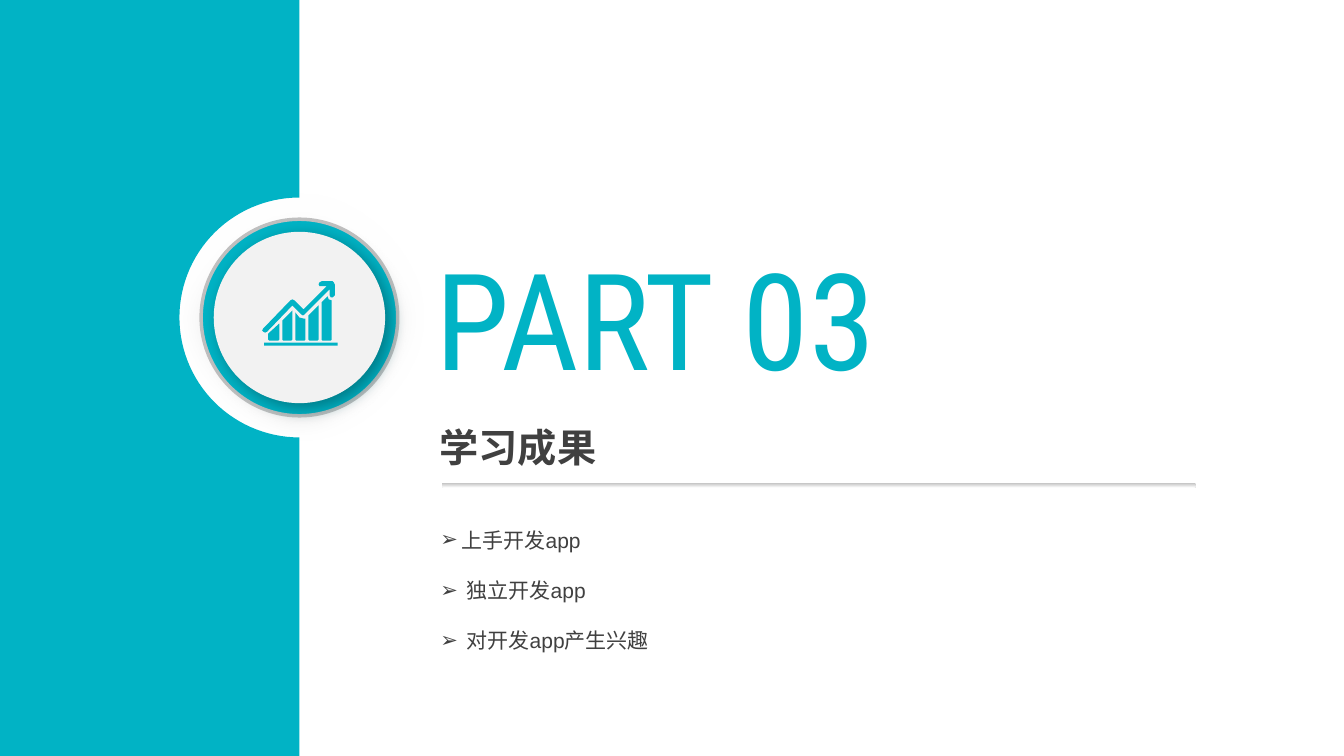
from dataclasses import dataclass
from math import cos, pi, sin

from lxml.etree import SubElement
from pptx import Presentation
from pptx.dml.color import RGBColor
from pptx.enum.shapes import MSO_SHAPE as Shape
from pptx.enum.text import MSO_ANCHOR, MSO_AUTO_SIZE, PP_ALIGN
from pptx.oxml.ns import qn
from pptx.util import Emu, Inches, Pt

PART = "PART 03"
HEADING = "学习成果"
# (text, hanging indent)
OUTCOMES = [("上手开发app", 0.21), ("独立开发app", 0.26), ("对开发app产生兴趣", 0.26)]

WIDTH, HEIGHT = 13.33, 7.5
BAND_RIGHT = 2.97
CENTER_Y = 3.15
NOTCH_RADIUS = 1.19
TEXT_LEFT, TEXT_RIGHT = 4.38, 11.86

# Growth icon: the top outline of each bar, left to right
BAR_BOTTOM = 3.38
BAR_TOPS = [
    [(2.66, 3.31), (2.77, 3.21)],
    [(2.80, 3.18), (2.90, 3.08)],
    [(2.93, 3.10), (2.97, 3.15), (3.01, 3.16), (3.03, 3.16)],
    [(3.06, 3.13), (3.16, 3.03)],
    [(3.19, 3.00), (3.25, 2.94), (3.26, 2.97), (3.29, 2.98)],
]
TREND_ARROW = [
    (2.65, 3.29), (2.90, 3.03), (2.99, 3.12), (3.005, 3.13), (3.02, 3.12),
    (3.27, 2.87), (3.27, 2.93), (3.28, 2.95), (3.30, 2.95), (3.32, 2.93),
    (3.32, 2.82), (3.31, 2.80), (3.30, 2.79), (3.19, 2.79), (3.17, 2.80),
    (3.16, 2.82), (3.17, 2.84), (3.19, 2.84), (3.24, 2.84), (3.01, 3.07),
    (2.92, 2.98), (2.90, 2.97), (2.88, 2.98), (2.61, 3.26), (2.60, 3.28),
    (2.61, 3.29), (2.63, 3.30),
]


@dataclass(frozen=True)
class Theme:
    teal: str = "01B3C5"
    deep_teal: str = "005962"
    dark: str = "404040"
    silver: str = "BFBFBF"
    pale: str = "F2F2F2"
    white: str = "FFFFFF"
    display_font: str = "Roboto Condensed"
    body_font: str = "Arial"
    part_size: int = 96
    heading_size: int = 28
    body_size: int = 15


THEME = Theme()


def paint(sp, fill, line=None):
    """Fill with one colour, or top to bottom with a pair of colours."""
    sp.shadow.inherit = False
    if isinstance(fill, tuple):
        sp.fill.gradient()
        sp.fill.gradient_angle = 270
        for stop, color in zip(sp.fill.gradient_stops, fill):
            stop.color.rgb = RGBColor.from_string(color)
    else:
        sp.fill.solid()
        sp.fill.fore_color.rgb = RGBColor.from_string(fill)
    if line:
        sp.line.color.rgb = RGBColor.from_string(line)
        sp.line.width = Pt(2.5)
    else:
        sp.line.fill.background()
    return sp


def add_preset(slide, kind, left, top, width, height, fill, line=None):
    sp = slide.shapes.add_shape(kind, Inches(left), Inches(top), Inches(width), Inches(height))
    return paint(sp, fill, line)


def add_disc(slide, size, fill, line=None):
    return add_preset(slide, Shape.OVAL, BAND_RIGHT - size / 2, CENTER_Y - size / 2,
                      size, size, fill, line)


def add_polygon(slide, points, fill):
    scaled = [(Inches(x), Inches(y)) for x, y in points]
    builder = slide.shapes.build_freeform(*scaled[0])
    builder.add_line_segments(scaled[1:], close=True)
    return paint(builder.convert_to_shape(), fill)


def add_effect(sp, tag, **attrs):
    effects = sp._element.spPr.find(qn("a:effectLst"))
    return SubElement(effects, qn(tag), {k: str(v) for k, v in attrs.items()})


def add_drop_shadow(sp, color, alpha, blur, distance, angle):
    shadow = add_effect(sp, "a:outerShdw", blurRad=Pt(blur), dist=Pt(distance),
                        dir=angle * 60000, algn="ctr", rotWithShape=0)
    rgb = SubElement(shadow, qn("a:srgbClr"), val=color)
    SubElement(rgb, qn("a:alpha"), val=str(alpha * 1000))


def add_bullet(p, hang):
    pPr = p._p.get_or_add_pPr()
    pPr.set("marL", str(Inches(hang)))
    pPr.set("indent", str(-Inches(hang)))
    SubElement(pPr, qn("a:buFont"), typeface=THEME.body_font)
    SubElement(pPr, qn("a:buChar"), char="➢")


def write(sp, box, lines, *, size, color, font=THEME.body_font, bold=False,
          inset=(0.1, 0.05), spacing=None, hangs=()):
    sp.left, sp.top, sp.width, sp.height = (Inches(v) for v in box)
    tf = sp.text_frame
    tf.word_wrap = True
    tf.auto_size = MSO_AUTO_SIZE.NONE
    tf.vertical_anchor = MSO_ANCHOR.TOP
    tf.margin_left = tf.margin_right = Inches(inset[0])
    tf.margin_top = tf.margin_bottom = Inches(inset[1])
    for i, line in enumerate(lines):
        p = tf.paragraphs[0] if i == 0 else tf.add_paragraph()
        p.alignment = PP_ALIGN.LEFT
        if spacing:
            p.line_spacing = spacing
        if hangs:
            add_bullet(p, hangs[i])
        r = p.add_run()
        r.text = line
        r.font.name, r.font.size, r.font.bold = font, Pt(size), bold
        r.font.color.rgb = RGBColor.from_string(color)


def draw_badge(slide):
    halo = add_disc(slide, 2.61, (THEME.white, THEME.silver))
    add_effect(halo, "a:softEdge", rad=Pt(25))
    add_disc(slide, 1.95, THEME.teal, THEME.silver)
    face = add_disc(slide, 1.7, THEME.pale)
    add_drop_shadow(face, THEME.deep_teal, alpha=64, blur=12, distance=5, angle=45)


def draw_band(slide):
    """Side band with a half-round notch for the badge."""
    steps = 60
    notch = [(BAND_RIGHT - NOTCH_RADIUS * sin(pi * i / steps),
              CENTER_Y - NOTCH_RADIUS * cos(pi * i / steps)) for i in range(steps + 1)]
    outline = [(0, 0), (BAND_RIGHT, 0), *notch, (BAND_RIGHT, HEIGHT), (0, HEIGHT)]
    add_polygon(slide, outline, THEME.teal)


def draw_icon(slide):
    add_preset(slide, Shape.RECTANGLE, 2.62, 3.4, 0.73, 0.03, THEME.teal)
    corner = 0.01
    for top in BAR_TOPS:
        left, right = top[0][0], top[-1][0]
        base = [(right, BAR_BOTTOM - corner), (right - corner, BAR_BOTTOM),
                (left + corner, BAR_BOTTOM), (left, BAR_BOTTOM - corner)]
        add_polygon(slide, top + base, THEME.teal)
    add_polygon(slide, TREND_ARROW, THEME.teal)


def draw_text(slide):
    write(slide.shapes.title, (4.22, 2.29, 5.25, 1.72), [PART],
          size=THEME.part_size, color=THEME.teal, font=THEME.display_font)
    rule = add_preset(slide, Shape.ROUNDED_RECTANGLE, TEXT_LEFT, 4.79,
                      TEXT_RIGHT - TEXT_LEFT, 0.05, (THEME.silver, THEME.white))
    rule.adjustments[0] = 0.5
    heading, outcomes = (slide.shapes.add_textbox(*[Emu(0)] * 4) for _ in range(2))
    write(heading, (4.23, 4.13, 3.63, 0.61), [HEADING], size=THEME.heading_size,
          color=THEME.dark, bold=True, inset=(0.13, 0.07))
    lines, hangs = zip(*OUTCOMES)
    write(outcomes, (4.27, 4.93, 7.59, 1.62), lines, size=THEME.body_size,
          color=THEME.dark, spacing=2.0, hangs=hangs)


def main():
    prs = Presentation()
    prs.slide_width, prs.slide_height = Inches(WIDTH), Inches(HEIGHT)
    slide = prs.slides.add_slide(prs.slide_layouts[5])
    draw_badge(slide)
    draw_band(slide)
    draw_text(slide)
    draw_icon(slide)
    prs.save("out.pptx")


if __name__ == "__main__":
    main()
